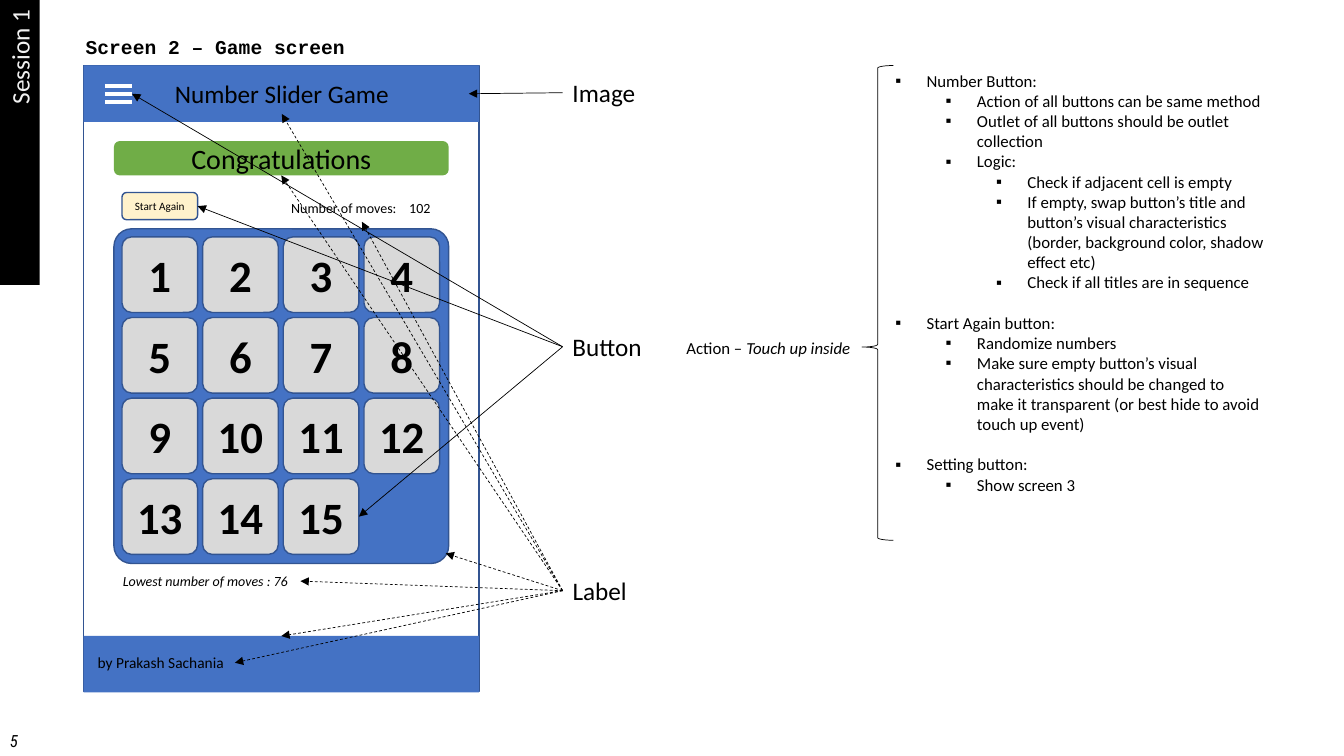
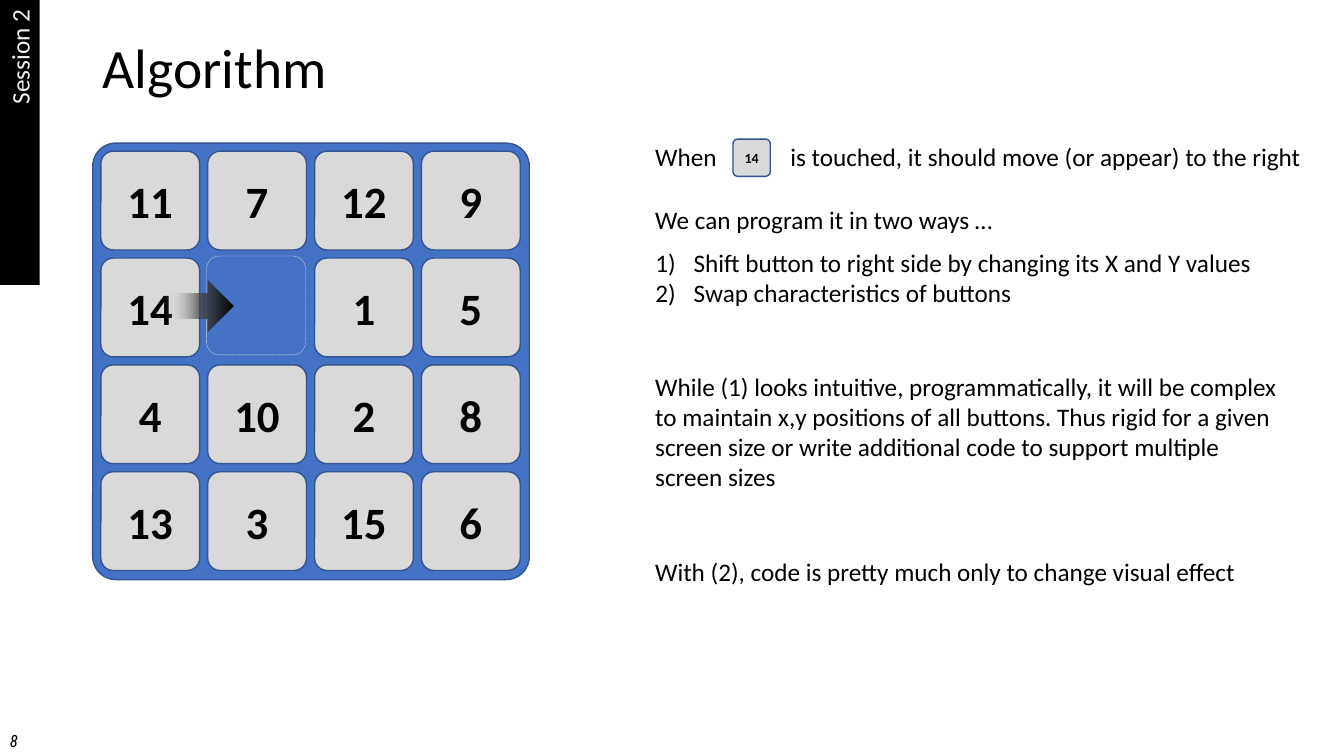
from lxml import etree
from pptx import Presentation
from pptx import util as u
from pptx.dml.color import RGBColor
from pptx.enum import dml, shapes, text
from pptx.oxml.ns import qn

COLORS = {
    "ink": "000000", "paper": "FFFFFF", "session": "F2F2F2", "blue": "4472C4",
    "edge": "325491", "tile": "D9D9D9", "cream": "FFF2CC", "green": "70AD47",
    "fade": "4A4A4A",
}
BODY_FONT = "Calibri"
SHAPE = shapes.MSO_SHAPE
ALIGN = text.PP_ALIGN
ANCHOR = text.MSO_ANCHOR
FIT = text.MSO_AUTO_SIZE
TOP, LEFT, BOTTOM, RIGHT = range(4)
TILE_ROUNDING = 0.126

RULES = [
    (0, "Number Button:"),
    (1, "Action of all buttons can be same method"),
    (1, "Outlet of all buttons should be outlet collection"),
    (1, "Logic:"),
    (2, "Check if adjacent cell is empty"),
    (2, "If empty, swap button’s title and button’s visual characteristics "
        "(border, background color, shadow effect etc)"),
    (2, "Check if all titles are in sequence"),
    (0, "Start Again button:"),
    (1, "Randomize numbers"),
    (1, "Make sure empty button’s visual characteristics should be changed to "
        "make it transparent (or best hide to avoid touch up event)"),
    (0, "Setting button:"),
    (1, "Show screen 3"),
]
WAYS = [
    (0, "Shift button to right side by changing its X and Y values"),
    (0, "Swap characteristics of buttons"),
]


def color(name):
    return RGBColor.from_string(COLORS[name])


def assign(target, **values):
    for name, value in values.items():
        setattr(target, name, value)


def place(item, left, top, width, height):
    assign(item, left=u.Inches(left), top=u.Inches(top),
           width=u.Inches(width), height=u.Inches(height))


def add_xml(parent, tag, **attributes):
    return etree.SubElement(parent, qn(tag), attributes)


def add_span(para, words, size, ink="ink", name=BODY_FONT, **style):
    span = para.add_run()
    span.text = words
    span.font.color.rgb = color(ink)
    assign(span.font, size=u.Pt(size), name=name, **style)


def add_text(page, box, words, size, wrap=False, align=ALIGN.LEFT, tab=None, **style):
    """Text box; tab is the distance in inches from the text edge to a tab stop."""
    item = page.shapes.add_textbox(*map(u.Inches, box))
    frame = item.text_frame
    assign(frame, word_wrap=wrap or tab is not None, auto_size=FIT.SHAPE_TO_FIT_TEXT)
    para = frame.paragraphs[0]
    para.alignment = align
    if tab is not None:
        stops = add_xml(para._p.get_or_add_pPr(), "a:tabLst")
        add_xml(stops, "a:tab", pos=str(u.Inches(tab)), algn="l")
    add_span(para, words, size, **style)
    return item


def add_block(page, kind, box, fill=None, edge=None, weight=1, rounding=()):
    block = page.shapes.add_shape(kind, *map(u.Inches, box))
    block.shadow.inherit = False
    if fill:
        block.fill.solid()
        block.fill.fore_color.rgb = color(fill)
    else:
        block.fill.background()
    if edge:
        block.line.color.rgb = color(edge)
        block.line.width = u.Pt(weight)
    else:
        block.line.fill.background()
    for index, value in enumerate(rounding):
        block.adjustments[index] = value
    return block


def caption(block, words, size, **style):
    """Centred words inside a shape."""
    frame = block.text_frame
    assign(frame, word_wrap=True, vertical_anchor=ANCHOR.MIDDLE, margin_left=0,
           margin_right=0, margin_top=0, margin_bottom=0)
    para = frame.paragraphs[0]
    para.alignment = ALIGN.CENTER
    add_span(para, words, size, **style)
    return block


def add_tile(page, left, top, side, number, size=32):
    tile = add_block(page, SHAPE.ROUNDED_RECTANGLE, (left, top, side, side),
                     "tile", "edge", rounding=[TILE_ROUNDING])
    return caption(tile, str(number), size, bold=True)


def add_line(page, start, end, ink="ink", weight=0.5):
    line = page.shapes.add_connector(shapes.MSO_CONNECTOR.STRAIGHT,
                                     *map(u.Inches, start + end))
    line.line.color.rgb = color(ink)
    line.line.width = u.Pt(weight)
    add_xml(line._element.spPr, "a:effectLst")
    return line


def add_pointer(page, source, target, dashed):
    """Arrow from a callout to a point, or to a (shape, side) pair."""
    joined = not isinstance(target[0], float)
    pointer = add_line(page, (0, 0), (0, 0) if joined else target)
    pointer.begin_connect(source, LEFT)
    if joined:
        pointer.end_connect(*target)
    if dashed:
        pointer.line.dash_style = dml.MSO_LINE.DASH
    add_xml(pointer._element.spPr.find(qn("a:ln")), "a:tailEnd", type="triangle")


def set_title(page, box, words, size, wrap=True, **style):
    title = page.shapes.title
    place(title, *box)
    assign(title.text_frame, word_wrap=wrap, auto_size=FIT.NONE,
           vertical_anchor=ANCHOR.MIDDLE)
    para = title.text_frame.paragraphs[0]
    assign(para, alignment=ALIGN.LEFT, line_spacing=0.9)
    add_span(para, words, size, **style)


def set_list(page, box, entries, size, hang, numbered=False):
    """Fill the body placeholder; each new top-level bullet opens a section."""
    body = page.placeholders[1]
    place(body, *box)
    frame = body.text_frame
    assign(frame, word_wrap=True, auto_size=FIT.NONE, vertical_anchor=ANCHOR.TOP)
    for index, (level, words) in enumerate(entries):
        para = frame.paragraphs[0] if index == 0 else frame.add_paragraph()
        opens_section = index and level == 0 and not numbered
        assign(para, level=level, alignment=ALIGN.LEFT,
               space_before=u.Pt(14.6 if opens_section else 0))
        properties = para._p.get_or_add_pPr()
        properties.set("marL", str(u.Inches(hang + level * 0.5)))
        properties.set("indent", str(u.Inches(-hang)))
        if numbered:
            add_xml(properties, "a:buFont", typeface="+mj-lt")
            add_xml(properties, "a:buAutoNum", type="arabicParenR")
        else:
            add_xml(properties, "a:buFont", typeface="Arial")
            add_xml(properties, "a:buChar", char="▪")
        add_span(para, words, size)


def add_page(deck, session, number):
    """Page with the parts every slide shares: session band and page number."""
    page = deck.slides.add_slide(deck.slide_layouts[1])
    add_text(page, (0, 7.2, 0.33, 0.3), number, 12, name="Roboto Condensed", italic=True)
    band = add_block(page, SHAPE.RECTANGLE, (-1.22, 1.21, 2.83, 0.4), "ink")
    band.rotation = 270
    assign(band.text_frame, word_wrap=True, vertical_anchor=ANCHOR.TOP)
    para = band.text_frame.paragraphs[0]
    para.alignment = ALIGN.RIGHT
    add_span(para, session, 18, "session")
    return page


def add_board(page, left, top, side, tile, pitch, rows):
    """Sliding board; returns the tiles by number. None leaves a gap."""
    add_block(page, SHAPE.ROUNDED_RECTANGLE, (left, top, side, side),
              "blue", "edge", rounding=[0.053])
    return {
        number: add_tile(page, left + 0.08 + column * pitch,
                         top + 0.08 + row * pitch, tile, number)
        for row, numbers in enumerate(rows)
        for column, number in enumerate(numbers) if number
    }


def add_phone(page, left, top):
    """Mock-up of the game screen; returns the parts that callouts point to."""
    width, height, bar = 3.92, 6.21, 0.56
    inner = left + 0.3
    add_block(page, SHAPE.RECTANGLE, (left, top, width, height), None, "edge")
    rows = [[1, 2, 3, 4], [5, 6, 7, 8], [9, 10, 11, 12], [13, 14, 15, None]]
    tiles = add_board(page, inner, top + 1.62, 3.32, 0.75, 0.8, rows)
    restart = add_block(page, SHAPE.ROUNDED_RECTANGLE,
                        (inner + 0.08, top + 1.26, 0.75, 0.27), "cream", "edge")
    caption(restart, "Start Again", 8)
    moves = add_text(page, (left + 1.96, top + 1.28, 1.6, 0.27),
                     "Number of moves:\t102", 10, tab=1.17)
    lowest = add_text(page, (left + 0.29, top + 4.98, 1.86, 0.27),
                      "Lowest number of moves : 76", 10, italic=True)
    footer_top = top + height - bar + 0.01
    add_block(page, SHAPE.RECTANGLE, (left, top, width, bar), "blue")
    footer = add_block(page, SHAPE.RECTANGLE, (left, footer_top, width, bar), "blue")
    name = add_text(page, (left + 0.79, top + 0.08, 2.35, 0.4),
                    "Number Slider Game", 18, align=ALIGN.CENTER)
    for step in range(3):
        height_of_bar = top + 0.2 + step * 0.08
        add_line(page, (left + 0.21, height_of_bar), (left + 0.48, height_of_bar),
                 "paper", 3)
    author = add_text(page, (left + 0.03, footer_top + 0.12, 1.47, 0.29),
                      "by Prakash Sachania", 11, align=ALIGN.CENTER)
    banner = add_block(page, SHAPE.ROUNDED_RECTANGLE,
                       (inner, top + 0.75, 3.32, 0.34), "green")
    caption(banner, "Congratulations", 20)
    return {
        "restart": (restart, RIGHT), "last tile": (tiles[15], RIGHT),
        "moves": (moves, BOTTOM), "lowest": (lowest, RIGHT),
        "name": (name, BOTTOM), "banner": (banner, BOTTOM),
        "author": (author, RIGHT), "footer": (footer, TOP),
        "menu": (left + 0.48, top + 0.28), "header": (left + 3.82, top + 0.28),
        "board": (left + 3.59, top + 4.84),
    }


def add_callouts(page, left, parts):
    callouts = [
        ("Image", 0.72, 0.83, False, ["header"]),
        ("Button", 3.24, 0.9, False, ["menu", "restart", "last tile"]),
        ("Label", 5.66, 0.75, True,
         ["name", "banner", "moves", "lowest", "board", "footer", "author"]),
    ]
    for words, top, width, dashed, targets in callouts:
        callout = add_text(page, (left, top, width, 0.4), words, 18)
        for target in targets:
            add_pointer(page, callout, parts[target], dashed)


def add_actions(page, left, top):
    """Touch action, brace and the list of rules it leads to."""
    action = add_text(page, (left, top + 2.65, 1.84, 0.3), "Action – ", 12)
    add_span(action.text_frame.paragraphs[0], "Touch up inside", 12, italic=True)
    add_block(page, SHAPE.LEFT_BRACE, (left + 1.84, top, 0.31, 4.71), None, "ink",
              0.5, [0.083, 0.593])
    set_list(page, (left + 2.07, top, 3.87, 6.21), RULES, 12, 0.31)


def build_screen(deck):
    page = add_page(deck, "Session 1", "5")
    set_title(page, (0.75, 0.31, 2.79, 0.34), "Screen 2 – Game screen", 14,
              wrap=False, name="Courier New", bold=True)
    parts = add_phone(page, 0.83, 0.65)
    add_callouts(page, 5.58, parts)
    add_actions(page, 6.71, 0.65)


def add_move(page, left, top):
    """Dashed empty cell, with a fading arrow sliding into it."""
    gap = add_block(page, SHAPE.ROUNDED_RECTANGLE, (left, top, 0.98, 0.98), None,
                    "tile", 0.25, [TILE_ROUNDING])
    gap.line.dash_style = dml.MSO_LINE.SQUARE_DOT
    arrow = add_block(page, SHAPE.RIGHT_ARROW, (left - 0.42, top + 0.24, 0.68, 0.51))
    blend = etree.Element(qn("a:gradFill"), rotWithShape="1")
    stops = add_xml(blend, "a:gsLst")
    for position, shade, alpha in [(0, "ink", 100), (50, "fade", 75), (100, "paper", 0)]:
        stop = add_xml(stops, "a:gs", pos=str(position * 1000))
        tint = add_xml(stop, "a:srgbClr", val=COLORS[shade])
        add_xml(tint, "a:alpha", val=str(alpha * 1000))
    add_xml(blend, "a:lin", ang=str(180 * 60000), scaled="0")
    properties = arrow._element.spPr
    properties.replace(properties.find(qn("a:noFill")), blend)


def add_reasoning(page, left, top):
    add_text(page, (left, top, 6.7, 0.4),
             "When\tis touched, it should move (or appear) to the right", 18, tab=1.34)
    add_tile(page, left + 0.87, top + 0.03, 0.37, 14, 10)
    add_text(page, (left, top + 0.63, 3.6, 0.4), "We can program it in two ways …", 18)
    set_list(page, (left, top + 1.05, 6.43, 0.71), WAYS, 18, 0.38, numbered=True)
    add_text(page, (left, top + 2.28, 6.43, 1.31),
             "While (1) looks intuitive, programmatically, it will be complex to "
             "maintain x,y positions of all buttons. Thus rigid for a given screen "
             "size or write additional code to support multiple screen sizes",
             18, wrap=True)
    add_text(page, (left, top + 4.12, 6.43, 0.4),
             "With (2), code is pretty much only to change visual effect", 18, wrap=True)


def build_algorithm(deck):
    page = add_page(deck, "Session 2", "8")
    set_title(page, (0.92, 0.4, 11.5, 0.6), "Algorithm", 39.6)
    rows = [[11, 7, 12, 9], [14, None, 1, 5], [4, 10, 2, 8], [13, 3, 15, 6]]
    add_board(page, 0.92, 1.42, 4.33, 0.98, 1.06, rows)
    add_move(page, 2.05, 2.54)
    add_reasoning(page, 6.4, 1.35)


def main():
    deck = Presentation()
    assign(deck, slide_width=u.Inches(13.33), slide_height=u.Inches(7.5))
    build_screen(deck)
    build_algorithm(deck)
    deck.save("out.pptx")


if __name__ == "__main__":
    main()
